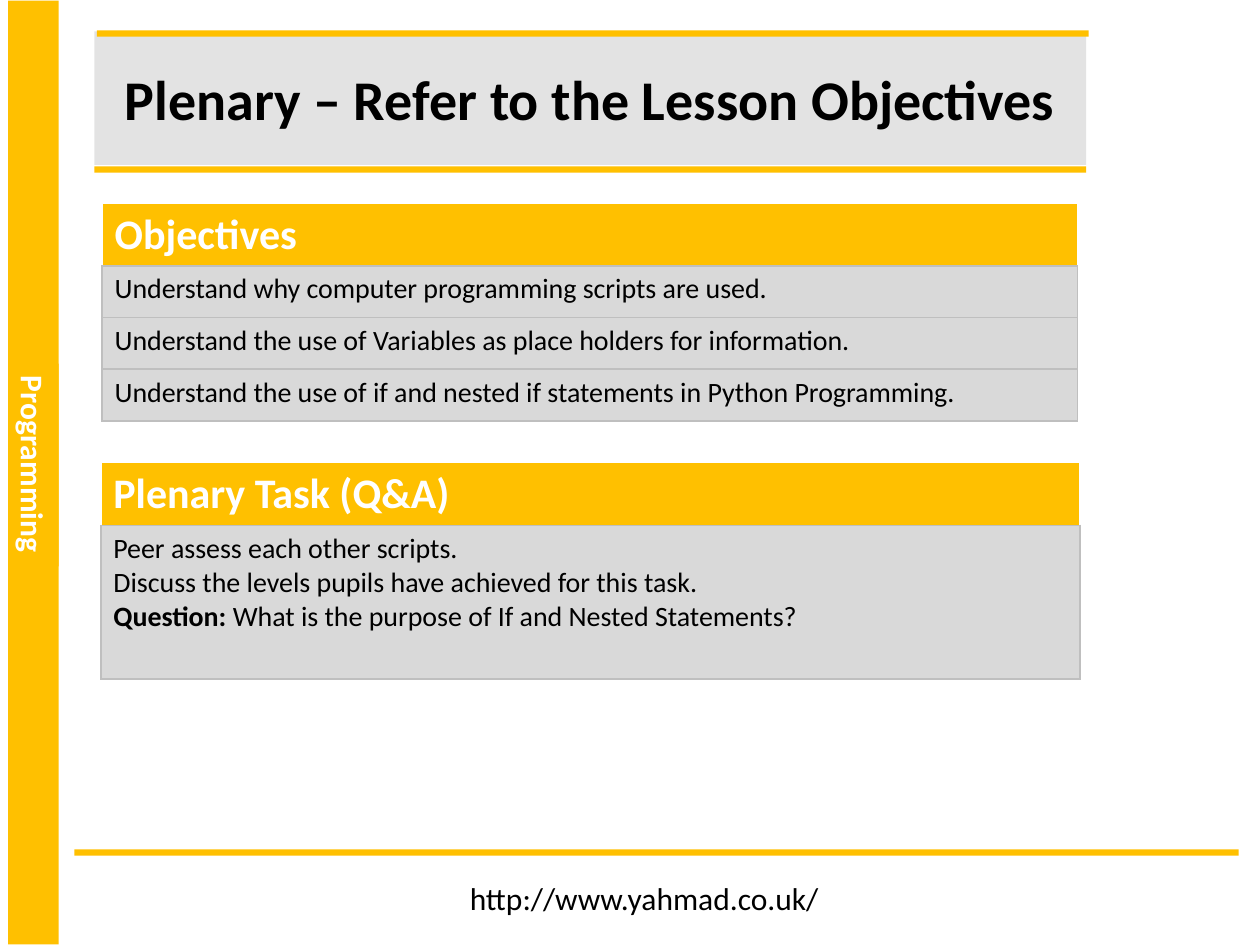
import pptx
import pptx.util
import pptx.dml.color
import pptx.enum.shapes
import pptx.enum.text
import pptx.oxml
import pptx.oxml.ns
from pptx.util import Inches

GOLD, GREY, EDGE, WHITE, BLACK = "FFC000", "D9D9D9", "BFBFBF", "FFFFFF", "000000"
HEADER_H, OBJECTIVE_H, TASK_H = 0.49, 0.41, 1.22

TITLE = "Plenary – Refer to the Lesson Objectives"
SIDE_LABEL = "Programming"
FOOTER = "http://www.yahmad.co.uk/"
RULES = [(0.75, 1.32, 7.87), (0.77, 0.24, 7.87), (0.59, 6.74, 9.24)]
TABLES = [
    (0.8, 3.67, 7.77, TASK_H, "Plenary Task (Q&A)", [
        [[("Peer assess each other scripts.", False)],
         [("Discuss the levels pupils have achieved for this task.", False)],
         [("Question: ", True), ("What is the purpose of If and Nested Statements?", False)]],
    ]),
    (0.81, 1.61, 7.74, OBJECTIVE_H, "Objectives", [
        [[("Understand why computer programming scripts are used.", False)]],
        [[("Understand the use of Variables as place holders for information.", False)]],
        [[("Understand the use of if and nested if statements in Python Programming.", False)]],
    ]),
]


def rgb(color):
    return pptx.dml.color.RGBColor.from_string(color)


def write(tf, paragraphs, size=18, color=BLACK, align=None):
    for i, runs in enumerate(paragraphs):
        p = tf.paragraphs[0] if i == 0 else tf.add_paragraph()
        p.alignment = align
        for text, bold in runs:
            r = p.add_run()
            r.text = text
            r.font.name = "Calibri"
            r.font.size = pptx.util.Pt(size)
            r.font.bold = bold
            r.font.color.rgb = rgb(color)


def paint(fill, color, opacity=100):
    fill.solid()
    fill.fore_color.rgb = rgb(color)
    if opacity < 100:
        clr = fill._xPr.find(".//" + pptx.oxml.ns.qn("a:srgbClr"))
        alpha = clr.makeelement(pptx.oxml.ns.qn("a:alpha"), {"val": str(opacity * 1000)})
        clr.append(alpha)


def add_rect(s, x, y, w, h, color, opacity=100, rotation=0):
    sp = s.shapes.add_shape(pptx.enum.shapes.MSO_SHAPE.RECTANGLE,
                            Inches(x), Inches(y), Inches(w), Inches(h))
    sp.shadow.inherit = False
    sp.rotation = rotation
    sp.line.fill.background()
    paint(sp.fill, color, opacity)
    return sp


def fit_text(tf):
    tf.word_wrap = False
    tf.auto_size = pptx.enum.text.MSO_AUTO_SIZE.SHAPE_TO_FIT_TEXT


def format_cell(cell, fill, borders):
    tcPr = cell._tc.get_or_add_tcPr()
    for side, color in zip("LRTB", borders):
        tcPr.append(pptx.oxml.parse_xml(
            f'<a:ln{side} {pptx.oxml.ns.nsdecls("a")} w="12700"><a:solidFill>'
            f'<a:srgbClr val="{color}"/></a:solidFill></a:ln{side}>'))
    paint(cell.fill, fill, 80)


def add_panel(s, x, y, w, row_h, heading, rows):
    total_h = HEADER_H + row_h * len(rows)
    table = s.shapes.add_table(len(rows) + 1, 1, Inches(x), Inches(y),
                               Inches(w), Inches(total_h)).table
    table.horz_banding = False
    table.rows[0].height = Inches(HEADER_H)
    header = table.cell(0, 0)
    format_cell(header, GOLD, [WHITE, WHITE, WHITE, EDGE])
    write(header.text_frame, [[(heading, True)]], size=24, color=WHITE)
    for i, paragraphs in enumerate(rows, 1):
        table.rows[i].height = Inches(row_h)
        cell = table.cell(i, 0)
        format_cell(cell, GREY, [EDGE] * 4)
        write(cell.text_frame, paragraphs, size=16)


def main():
    prs = pptx.Presentation()
    prs.slide_width, prs.slide_height = Inches(10), Inches(7.5)
    s = prs.slides.add_slide(prs.slide_layouts[6])
    center = pptx.enum.text.PP_ALIGN.CENTER

    add_rect(s, -3.48, 3.55, 7.49, 0.4, GOLD, rotation=90)
    label = add_rect(s, -0.54, 3.49, 1.61, 0.4, GOLD, rotation=90)
    fit_text(label.text_frame)
    label.text_frame.vertical_anchor = pptx.enum.text.MSO_ANCHOR.TOP
    write(label.text_frame, [[(SIDE_LABEL, True)]], color=WHITE,
          align=pptx.enum.text.PP_ALIGN.LEFT)

    title = add_rect(s, 0.75, 0.25, 7.87, 1.06, GREY, opacity=72)
    title.text_frame.vertical_anchor = pptx.enum.text.MSO_ANCHOR.MIDDLE
    write(title.text_frame, [[(TITLE, True)]], size=32, align=center)

    footer = s.shapes.add_textbox(Inches(3.63), Inches(6.93), Inches(3.01), Inches(0.4))
    fit_text(footer.text_frame)
    write(footer.text_frame, [[(FOOTER, False)]])

    for x, y, w in RULES:
        add_rect(s, x, y, w, 0.05, GOLD)
    for panel in TABLES:
        add_panel(s, *panel)
    prs.save("out.pptx")


if __name__ == "__main__":
    main()
